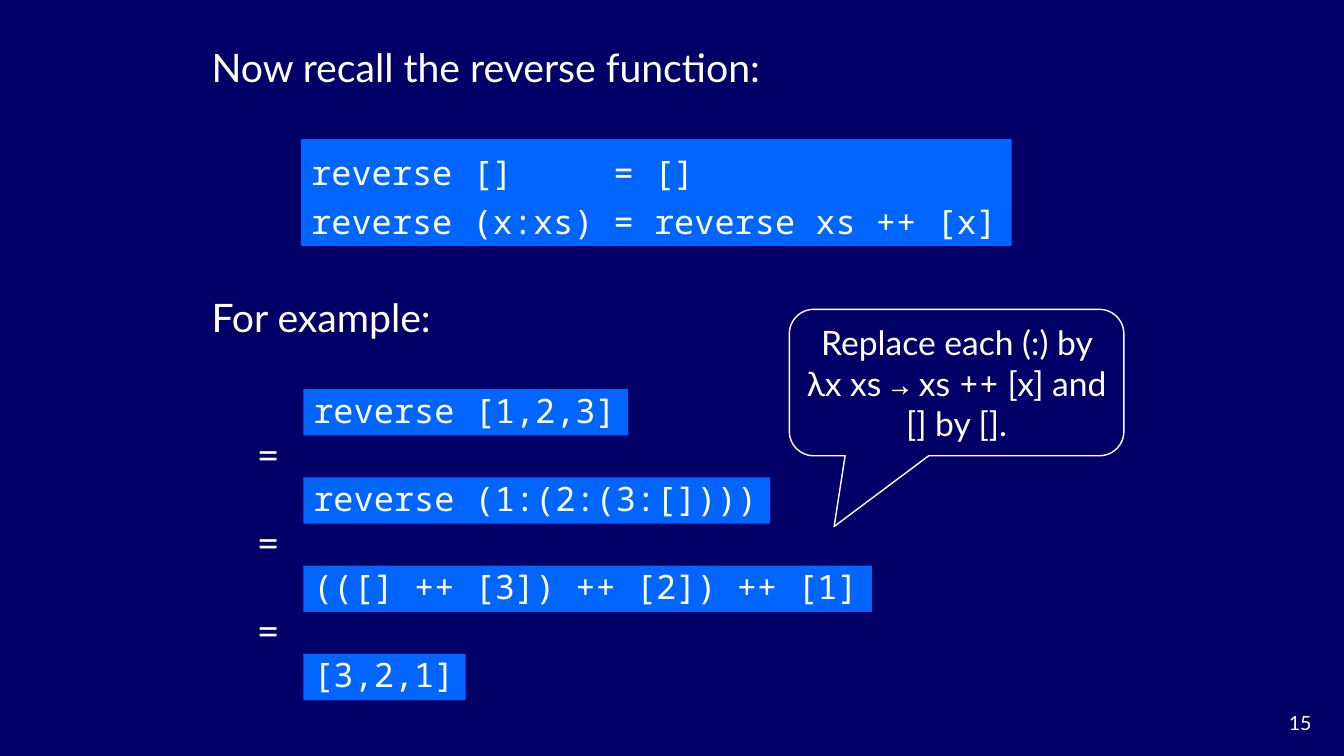
"""Build a slide that evaluates the reverse function step by step."""
import dataclasses

import pptx
import pptx.dml.color
import pptx.enum.shapes
import pptx.enum.text
import pptx.util

Pt = pptx.util.Pt
Align = pptx.enum.text.PP_ALIGN
Anchor = pptx.enum.text.MSO_ANCHOR
AutoSize = pptx.enum.text.MSO_AUTO_SIZE
Shape = pptx.enum.shapes.MSO_SHAPE


@dataclasses.dataclass(frozen=True)
class Theme:
    background = pptx.dml.color.RGBColor(0x00, 0x00, 0x66)
    code_fill = pptx.dml.color.RGBColor(0x00, 0x66, 0xFF)
    ink = pptx.dml.color.RGBColor(0xFF, 0xFF, 0xFF)
    prose = "Lato"
    mono = "Noto Sans Mono"
    heading = 28
    body = 24
    footer = 14


theme = Theme()


def write(box, text, font=theme.prose, size=theme.heading, align=Align.LEFT,
          spacing=1.0, wrap=False, anchor=Anchor.MIDDLE, mono_marks=()):
    """Fill a box with lines of text, setting the marked words in the mono font."""
    frame = box.text_frame
    frame.word_wrap = wrap
    frame.vertical_anchor = anchor
    frame.auto_size = AutoSize.SHAPE_TO_FIT_TEXT
    for index, line in enumerate(text.split("\n")):
        para = frame.paragraphs[0] if index == 0 else frame.add_paragraph()
        para.alignment = align
        para.line_spacing = spacing
        pieces = [line]
        for mark in mono_marks:
            before, after = pieces.pop().split(mark, 1)
            pieces += [before, mark, after]
        for piece in pieces:
            span = para.add_run()
            span.text = piece
            span.font.name = theme.mono if piece in mono_marks else font
            span.font.size = Pt(size)
            span.font.color.rgb = theme.ink


def add_code(left, top, width, height, code, spacing):
    """Add a blue panel of code."""
    panel = page.shapes.add_shape(Shape.RECTANGLE, Pt(left), Pt(top), Pt(width), Pt(height))
    panel.shadow.inherit = False
    panel.fill.solid()
    panel.fill.fore_color.rgb = theme.code_fill
    panel.line.fill.background()
    write(panel, code, font=theme.mono, size=theme.body, spacing=spacing)


deck = pptx.Presentation()
deck.slide_width = Pt(960)
deck.slide_height = Pt(540)
page = deck.slides.add_slide(deck.slide_layouts[5])
page.background.fill.solid()
page.background.fill.fore_color.rgb = theme.background

title = page.shapes.title
title.left, title.top, title.width, title.height = Pt(144), Pt(27.4), Pt(646), Pt(41)
write(title, "Now recall the reverse function:", wrap=True)

number = page.shapes.add_textbox(Pt(880), Pt(504), Pt(64), Pt(24))
write(number, "15", size=theme.footer, align=Align.RIGHT, wrap=True, anchor=Anchor.TOP)

add_code(215.2, 99.4, 507.4, 76.2,
         "reverse []     = []\nreverse (x:xs) = reverse xs ++ [x]", spacing=1.2)

example = page.shapes.add_textbox(Pt(144), Pt(206), Pt(176.4), Pt(41))
write(example, "For example:")

first_step, step_gap = 278, 63
steps = [
    ("reverse [1,2,3]", 232),
    ("reverse (1:(2:(3:[])))", 333.4),
    ("(([] ++ [3]) ++ [2]) ++ [1]", 406),
    ("[3,2,1]", 116),
]
for index, (code, width) in enumerate(steps):
    top = first_step + index * step_gap
    add_code(216.7, top, width, 33.1, code, spacing=0.9)
    if index:
        equals = page.shapes.add_textbox(Pt(174.2), Pt(top - 37.6), Pt(34.6), Pt(41))
        write(equals, "=", align=Align.CENTER)

callout = page.shapes.add_shape(
    Shape.ROUNDED_RECTANGULAR_CALLOUT, Pt(563.8), Pt(221), Pt(239), Pt(104.6))
for index, value in enumerate((-0.366, 0.983, 0.167)):
    callout.adjustments[index] = value
callout.shadow.inherit = False
callout.fill.background()
callout.line.color.rgb = theme.ink
callout.line.width = Pt(1)
write(callout, "Replace each (:) by λx xs → xs ++ [x] and [] by [].", size=theme.body,
      align=Align.CENTER, wrap=True, mono_marks=("→", "++"))

deck.save("out.pptx")
